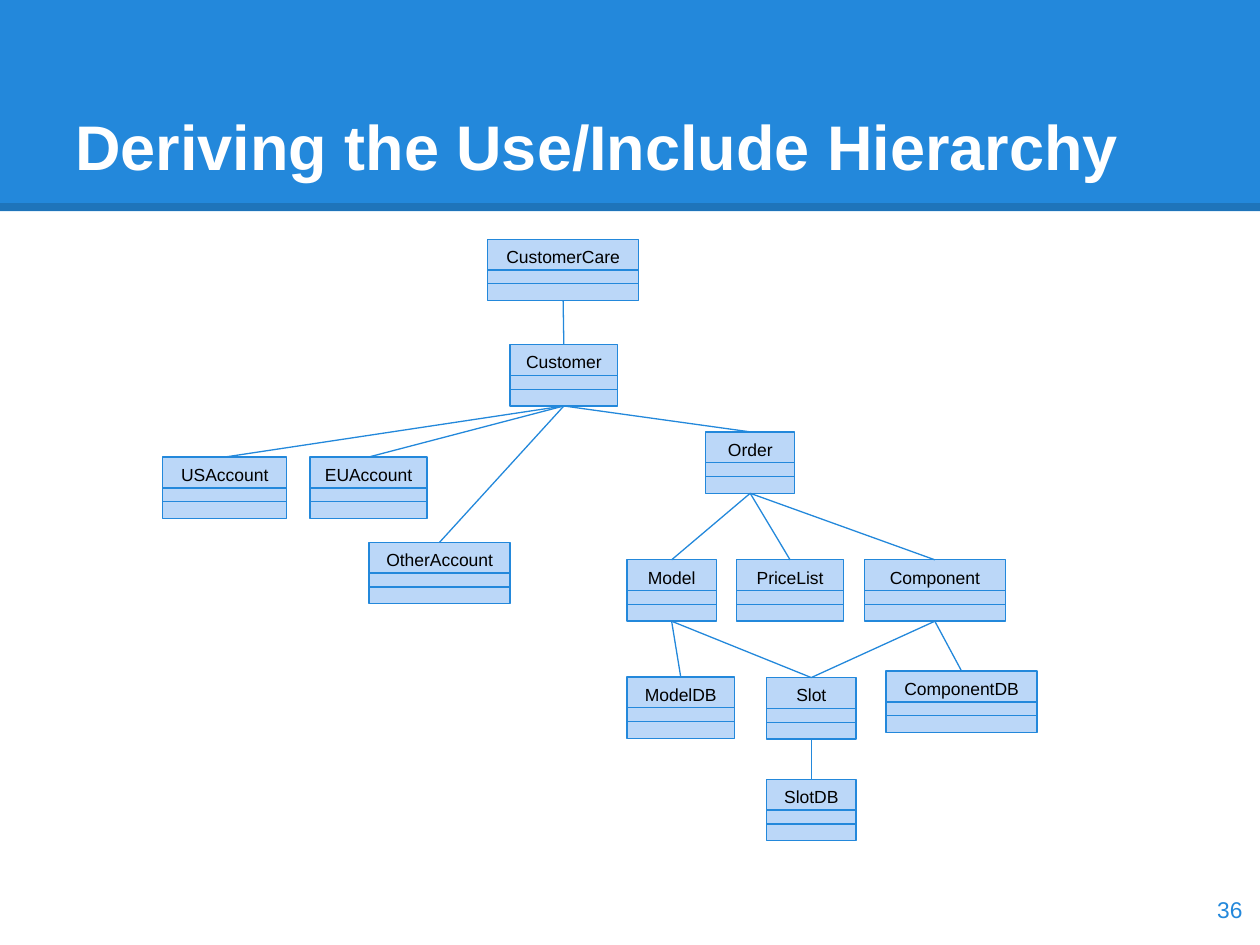
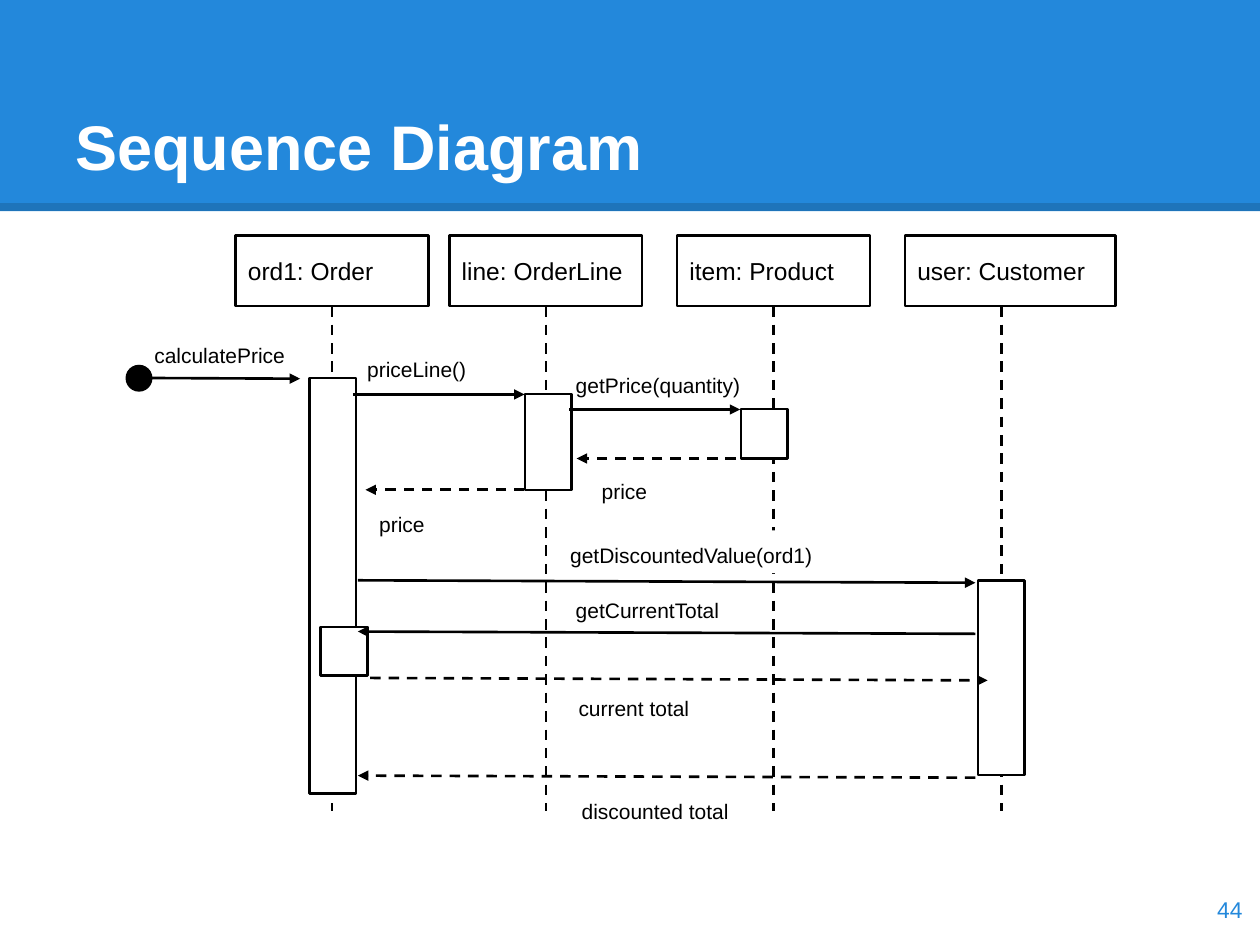
from pptx import Presentation
from pptx.dml.color import RGBColor
from pptx.enum.dml import MSO_LINE
from pptx.enum.shapes import MSO_CONNECTOR, MSO_SHAPE
from pptx.enum.text import MSO_ANCHOR, PP_ALIGN
from pptx.oxml.ns import qn
from pptx.util import Pt
from lxml import etree

BLUE = RGBColor(0x23, 0x88, 0xDB)
DEEP = RGBColor(0x1E, 0x74, 0xBA)
PALE = RGBColor(0xBB, 0xD7, 0xF8)
WHITE = RGBColor(0xFF, 0xFF, 0xFF)
BLACK = RGBColor(0, 0, 0)

RECT, OVAL = MSO_SHAPE.RECTANGLE, MSO_SHAPE.OVAL
STRAIGHT, DASH = MSO_CONNECTOR.STRAIGHT, MSO_LINE.DASH
TOP, MIDDLE, BOTTOM = MSO_ANCHOR.TOP, MSO_ANCHOR.MIDDLE, MSO_ANCHOR.BOTTOM
LEFT, CENTER, RIGHT = PP_ALIGN.LEFT, PP_ALIGN.CENTER, PP_ALIGN.RIGHT

WIDE, TALL = 720, 540
INSET = 7.2
UPPER, LOWER = 0, 2  # connection sites of a rectangle

# Class boxes: name -> left, top, width
CLASSES = {
    "USAccount": (92.9, 261.2, 71),
    "OtherAccount": (210.9, 309.9, 80.6),
    "EUAccount": (177.1, 261.2, 67),
    "Customer": (291.5, 196.9, 61.4),
    "CustomerCare": (278.6, 136.7, 86.4),
    "Order": (403.2, 246.8, 51),
    "Model": (358.3, 319.9, 51),
    "PriceList": (420.8, 319.9, 61.4),
    "Component": (493.9, 319.9, 80.6),
    "Slot": (438.1, 387.2, 51),
    "ModelDB": (358.3, 386.9, 61.4),
    "SlotDB": (438.1, 445.3, 51),
    "ComponentDB": (506.3, 383.5, 86.4),
}
USES = {
    "CustomerCare": ["Customer"],
    "Customer": ["USAccount", "EUAccount", "OtherAccount", "Order"],
    "Order": ["Model", "PriceList", "Component"],
    "Model": ["ModelDB", "Slot"],
    "Component": ["Slot", "ComponentDB"],
    "Slot": ["SlotDB"],
}
CLASS_TALL, FIELDS, METHODS = 35.1, 17.6, 25.5

# Sequence diagram: objects are left, width; bars are left, top, height
OBJECTS = {
    "ord1: Order": (134.6, 110.2),
    "line: OrderLine": (256.8, 110.2),
    "item: Product": (386.9, 110.2),
    "user: Customer": (517.1, 120.4),
}
HEAD_TOP, HEAD_TALL, STEM, LIFE_END = 134.6, 40.4, 55.1, 463.7
BAR_WIDE = 26.8
BARS = [
    (176.7, 216, 237.4),
    (300, 225.2, 54.8),
    (423.4, 233.8, 28.2),
    (558.8, 331.6, 111.4),
    (183.1, 358.3, 27.8),
]
# Messages: start x, y, end x, y
CALLS = [
    (86.4, 216, 171.5, 216.4),
    (201.6, 225.4, 299.7, 225.4),
    (325.4, 234, 423, 234),
    (204.5, 331.6, 557.4, 333),
    (557.4, 362.2, 204.5, 360.9),
]
REPLIES = [
    (299.7, 279.9, 208.8, 279.9),
    (420.6, 262, 329.5, 262),
    (211.5, 387.4, 564.4, 388.8),
    (557.4, 444.4, 204.5, 443.2),
]
# Labels: text, left, top, width, fill
LABELS = [
    ("calculatePrice", 81.1, 188.6, 96, None),
    ("priceLine()", 202.7, 196.6, 96, None),
    ("price", 209.6, 285.4, 96, None),
    ("getPrice(quantity)", 321.9, 205.7, 110, None),
    ("price", 336.7, 266.4, 96, None),
    ("getDiscountedValue(ord1)", 318.7, 303.1, 180.7, WHITE),
    ("getCurrentTotal", 321.9, 334.5, 106.6, WHITE),
    ("current total", 323.5, 390, 106.6, WHITE),
    ("discounted total", 325.3, 449, 106.6, WHITE),
]


def write(shape, text, size=12, color=BLACK, bold=False, align=LEFT,
          anchor=TOP, head=INSET, side=INSET):
    """Put one formatted paragraph in a shape; head and side are insets."""
    frame = shape.text_frame
    frame.word_wrap = True
    frame.vertical_anchor = anchor
    frame.margin_top, frame.margin_bottom = Pt(head), Pt(INSET)
    frame.margin_left = frame.margin_right = Pt(side)
    para = frame.paragraphs[0]
    para.alignment = align
    run = para.add_run()
    run.text = text
    font = run.font
    font.name, font.size, font.bold = "Arial", Pt(size), bold
    font.color.rgb = color


class Deck:
    """The presentation, its style and the slide being filled."""

    def __init__(self):
        self.show = Presentation()
        self.show.slide_width, self.show.slide_height = Pt(WIDE), Pt(TALL)
        self.slide = None

    def page(self, title, number):
        """Start a slide with the title band and page number."""
        self.slide = self.show.slides.add_slide(self.show.slide_layouts[6])
        self.box(0, 0, WIDE, 120.7, fill=BLUE)
        self.line(0, 118.2, WIDE, 118.2, color=DEEP, width=4.5)
        write(self.area(36, 21.6, 648, 90), title, size=36, color=WHITE,
              bold=True, anchor=BOTTOM)
        write(self.area(674, 499, 43, 41), str(number), size=13, color=BLUE,
              align=RIGHT, anchor=MIDDLE)

    def area(self, x, y, w, h):
        return self.slide.shapes.add_textbox(Pt(x), Pt(y), Pt(w), Pt(h))

    def box(self, x, y, w, h, kind=RECT, fill=WHITE, edge=None, width=1.5):
        shape = self.slide.shapes.add_shape(kind, Pt(x), Pt(y), Pt(w), Pt(h))
        shape.shadow.inherit = False
        shape.fill.solid()
        shape.fill.fore_color.rgb = fill
        if edge is None:
            shape.line.fill.background()
        else:
            shape.line.color.rgb = edge
            shape.line.width = Pt(width)
        return shape

    def line(self, x1, y1, x2, y2, color=BLACK, width=1.5, dash=None,
             arrow=False):
        link = self.slide.shapes.add_connector(
            STRAIGHT, Pt(x1), Pt(y1), Pt(x2), Pt(y2))
        link.line.color.rgb = color
        link.line.width = Pt(width)
        if dash is not None:
            link.line.dash_style = dash
        props = link.element.spPr
        if arrow:
            tail = etree.SubElement(props.find(qn("a:ln")), qn("a:tailEnd"))
            tail.set("type", "triangle")
        etree.SubElement(props, qn("a:effectLst"))
        return link

    def entity(self, name, x, y, w):
        """Draw a class box with its name and two empty compartments."""
        shape = self.box(x, y, w, CLASS_TALL, fill=PALE, edge=BLUE, width=0.75)
        write(shape, name, size=10, align=CENTER, head=3.9, side=2)
        for drop in (FIELDS, METHODS):
            self.line(x, y + drop, x + w, y + drop, color=BLUE, width=0.75)
        return shape

    def join(self, parent, child):
        link = self.line(0, 0, 0, 0, color=BLUE, width=0.75)
        link.begin_connect(parent, LOWER)
        link.end_connect(child, UPPER)

    def actor(self, name, x, w):
        """Draw an object head with its dashed lifeline."""
        head = self.box(x, HEAD_TOP, w, HEAD_TALL, edge=BLACK)
        write(head, name, size=14, anchor=MIDDLE)
        self.line(x + STEM, HEAD_TOP + HEAD_TALL, x + STEM, LIFE_END, dash=DASH)

    def label(self, text, x, y, w, fill):
        size = (x, y, w, 24.5)
        shape = self.box(*size, fill=fill) if fill else self.area(*size)
        write(shape, text)


def classes(deck):
    deck.page("Deriving the Use/Include Hierarchy", 36)
    nodes = {name: deck.entity(name, *place) for name, place in CLASSES.items()}
    for parent, children in USES.items():
        for child in children:
            deck.join(nodes[parent], nodes[child])


def sequence(deck):
    deck.page("Sequence Diagram", 44)
    for name, place in OBJECTS.items():
        deck.actor(name, *place)
    for x, y, h in BARS:
        deck.box(x, y, BAR_WIDE, h, edge=BLACK)
    deck.box(72.5, 209.2, 13.9, 13.9, kind=OVAL, fill=BLACK, edge=BLACK)
    for label in LABELS:
        deck.label(*label)
    for call in CALLS:
        deck.line(*call, arrow=True)
    for reply in REPLIES:
        deck.line(*reply, dash=DASH, arrow=True)


def main():
    deck = Deck()
    classes(deck)
    sequence(deck)
    deck.show.save("out.pptx")


if __name__ == "__main__":
    main()
